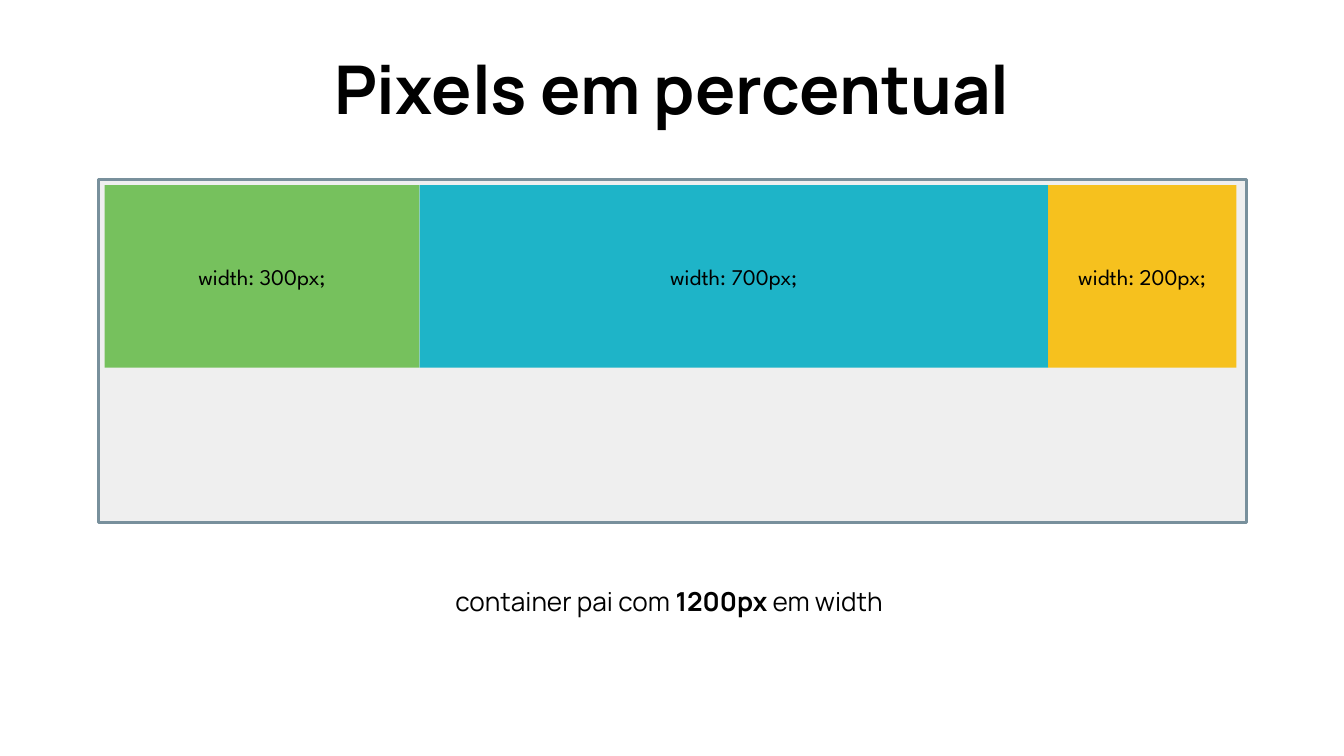
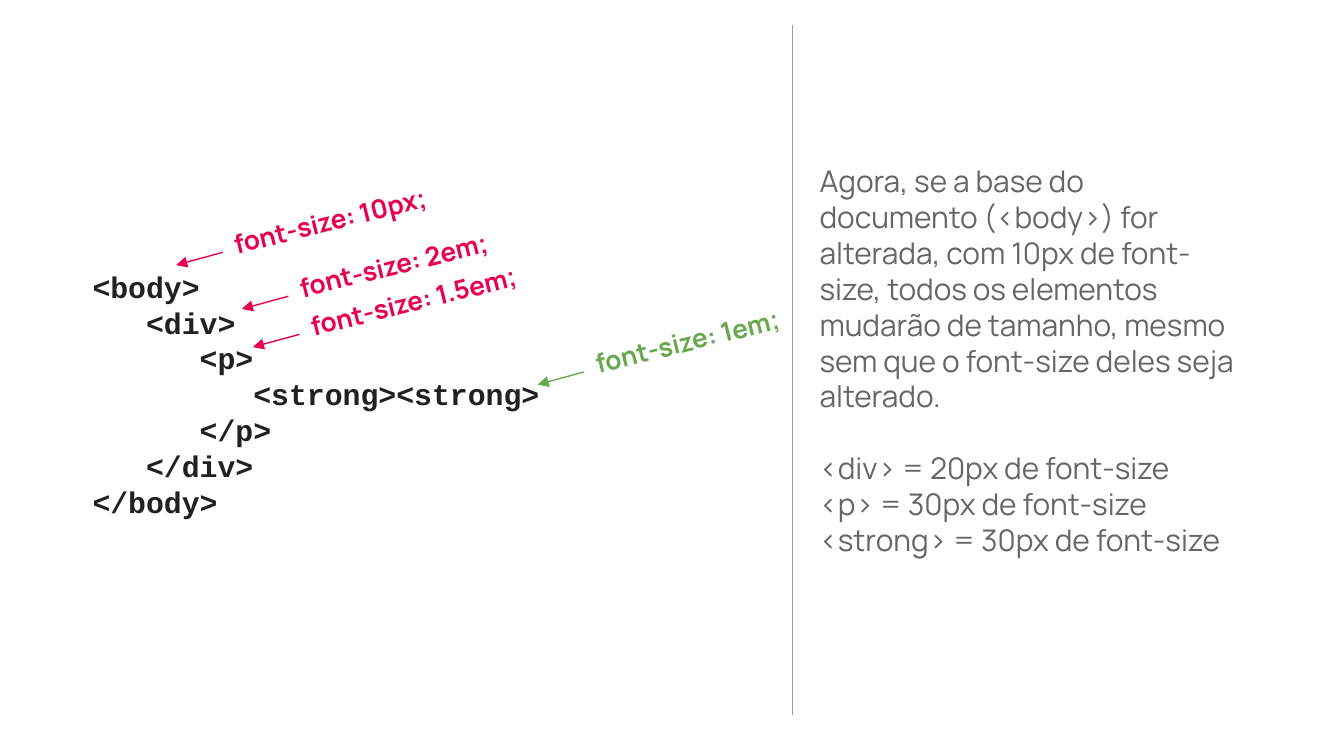
from lxml.etree import SubElement
from pptx import Presentation
from pptx.dml.color import RGBColor
from pptx.enum.shapes import MSO_CONNECTOR, MSO_SHAPE
from pptx.enum.text import MSO_ANCHOR, MSO_AUTO_SIZE, PP_ALIGN
from pptx.oxml.ns import qn
from pptx.util import Cm, Pt

BLACK = RGBColor(0x00, 0x00, 0x00)
CODE_INK = RGBColor(0x21, 0x21, 0x21)
BODY_GRAY = RGBColor(0x66, 0x66, 0x66)
DIVIDER_GRAY = RGBColor(0x9E, 0x9E, 0x9E)
PANEL_GRAY = RGBColor(0xEF, 0xEF, 0xEF)
PANEL_BORDER = RGBColor(0x78, 0x90, 0x9C)
GREEN = RGBColor(0x65, 0xBB, 0x48)
TEAL = RGBColor(0x00, 0xAC, 0xC3)
YELLOW = RGBColor(0xF8, 0xBB, 0x00)
PINK = RGBColor(0xE8, 0x00, 0x4C)
LABEL_GREEN = RGBColor(0x6A, 0xA8, 0x4F)

SANS = "Manrope"
SPARTAN = "League Spartan"
MONO = "Courier New"


def prepare_frame(shape, anchor):
    """Set wrapping, margins and anchor; return the text frame."""
    frame = shape.text_frame
    frame.auto_size = MSO_AUTO_SIZE.NONE
    frame.word_wrap = True
    frame.vertical_anchor = anchor
    frame.margin_left = frame.margin_right = Cm(0.25)
    frame.margin_top = frame.margin_bottom = Cm(0.25)
    return frame


def add_run(paragraph, text, font_name, size, color, bold=False):
    run = paragraph.add_run()
    run.text = text
    run.font.name = font_name
    run.font.size = Pt(size)
    run.font.color.rgb = color
    run.font.bold = bold


presentation = Presentation()
presentation.slide_width = Cm(25.4)
presentation.slide_height = Cm(14.29)

# Slide 1: widths in pixels
slide = presentation.slides.add_slide(presentation.slide_layouts[5])
title = slide.shapes.title
title.left, title.top, title.width, title.height = Cm(4.85), Cm(0.89), Cm(15.7), Cm(1.55)
paragraph = prepare_frame(title, MSO_ANCHOR.MIDDLE).paragraphs[0]
paragraph.alignment = PP_ALIGN.CENTER
add_run(paragraph, "Pixels em percentual", SANS, 36, BLACK, True)

container = slide.shapes.add_shape(MSO_SHAPE.RECTANGLE, Cm(1.86), Cm(3.4), Cm(21.7), Cm(6.48))
container.shadow.inherit = False
container.fill.solid()
container.fill.fore_color.rgb = PANEL_GRAY
container.line.color.rgb = PANEL_BORDER
container.line.width = Pt(1.5)

column_left = 1.98
for text, width, color in (
    ("width: 300px;", 5.95, GREEN),
    ("width: 700px;", 11.88, TEAL),
    ("width: 200px;", 3.56, YELLOW),
):
    column = slide.shapes.add_shape(
        MSO_SHAPE.RECTANGLE, Cm(column_left), Cm(3.5), Cm(width), Cm(3.45))
    column.shadow.inherit = False
    column.fill.solid()
    column.fill.fore_color.rgb = color
    color_element = column.fill._xPr.find(qn("a:solidFill"))[0]
    SubElement(color_element, qn("a:alpha"), val="87000")
    column.line.fill.background()
    paragraph = prepare_frame(column, MSO_ANCHOR.MIDDLE).paragraphs[0]
    paragraph.alignment = PP_ALIGN.CENTER
    add_run(paragraph, text, SPARTAN, 12, BLACK)
    column_left += width

caption = slide.shapes.add_textbox(Cm(5.23), Cm(10.82), Cm(14.83), Cm(1.17))
paragraph = prepare_frame(caption, MSO_ANCHOR.TOP).paragraphs[0]
paragraph.alignment = PP_ALIGN.CENTER
add_run(paragraph, "container pai com ", SANS, 14, BLACK)
add_run(paragraph, "1200px ", SANS, 14, BLACK, True)
add_run(paragraph, "em width", SANS, 14, BLACK)

# Slide 2: font sizes in em
slide = presentation.slides.add_slide(presentation.slide_layouts[6])
explanation = slide.shapes.add_textbox(Cm(15.24), Cm(1.75), Cm(8.59), Cm(10.12))
code = slide.shapes.add_textbox(Cm(1.5), Cm(4.98), Cm(9.55), Cm(4.93))
for box, font_name, color, bold, lines in (
    (explanation, SANS, BODY_GRAY, False, (
        "Agora, se a base do documento (<body>) for alterada, com 10px de font-size, "
        "todos os elementos mudarão de tamanho, mesmo sem que o font-size deles seja alterado.",
        "<div> = 20px de font-size",
        "<p> = 30px de font-size",
        "<strong> = 30px de font-size",
    )),
    (code, MONO, CODE_INK, True, (
        "<body>",
        "   <div>",
        "      <p>",
        "         <strong><strong>",
        "      </p>",
        "   </div>",
        "</body>",
    )),
):
    frame = prepare_frame(box, MSO_ANCHOR.MIDDLE)
    for index, line in enumerate(lines):
        paragraph = frame.add_paragraph() if index else frame.paragraphs[0]
        add_run(paragraph, line, font_name, 16, color, bold)
explanation.text_frame.paragraphs[1].space_before = Pt(19.3)

connectors = [(14.98, 0.48, 14.98, 13.51, DIVIDER_GRAY, False)]
for text, left, top, color in (
    ("font-size: 10px;", 4.14, 3.56, PINK),
    ("font-size: 2em;", 5.38, 4.39, PINK),
    ("font-size: 1.5em;", 5.59, 5.11, PINK),
    ("font-size: 1em;", 10.97, 5.82, LABEL_GREEN),
):
    label = slide.shapes.add_textbox(Cm(left), Cm(top), Cm(4.7), Cm(1.27))
    label.rotation = 346.1
    paragraph = prepare_frame(label, MSO_ANCHOR.TOP).paragraphs[0]
    add_run(paragraph, text, SANS, 14, color, True)
    connectors.append((left + 0.07, top + 1.21, left - 0.81, top + 1.45, color, True))

for start_x, start_y, end_x, end_y, color, has_arrow in connectors:
    connector = slide.shapes.add_connector(
        MSO_CONNECTOR.STRAIGHT, Cm(start_x), Cm(start_y), Cm(end_x), Cm(end_y))
    connector.line.color.rgb = color
    connector.line.width = Pt(0.75)
    if has_arrow:
        SubElement(connector.line._get_or_add_ln(), qn("a:tailEnd"),
                   type="triangle", w="med", len="med")
    SubElement(connector._element.spPr, qn("a:effectLst"))

presentation.save("out.pptx")
